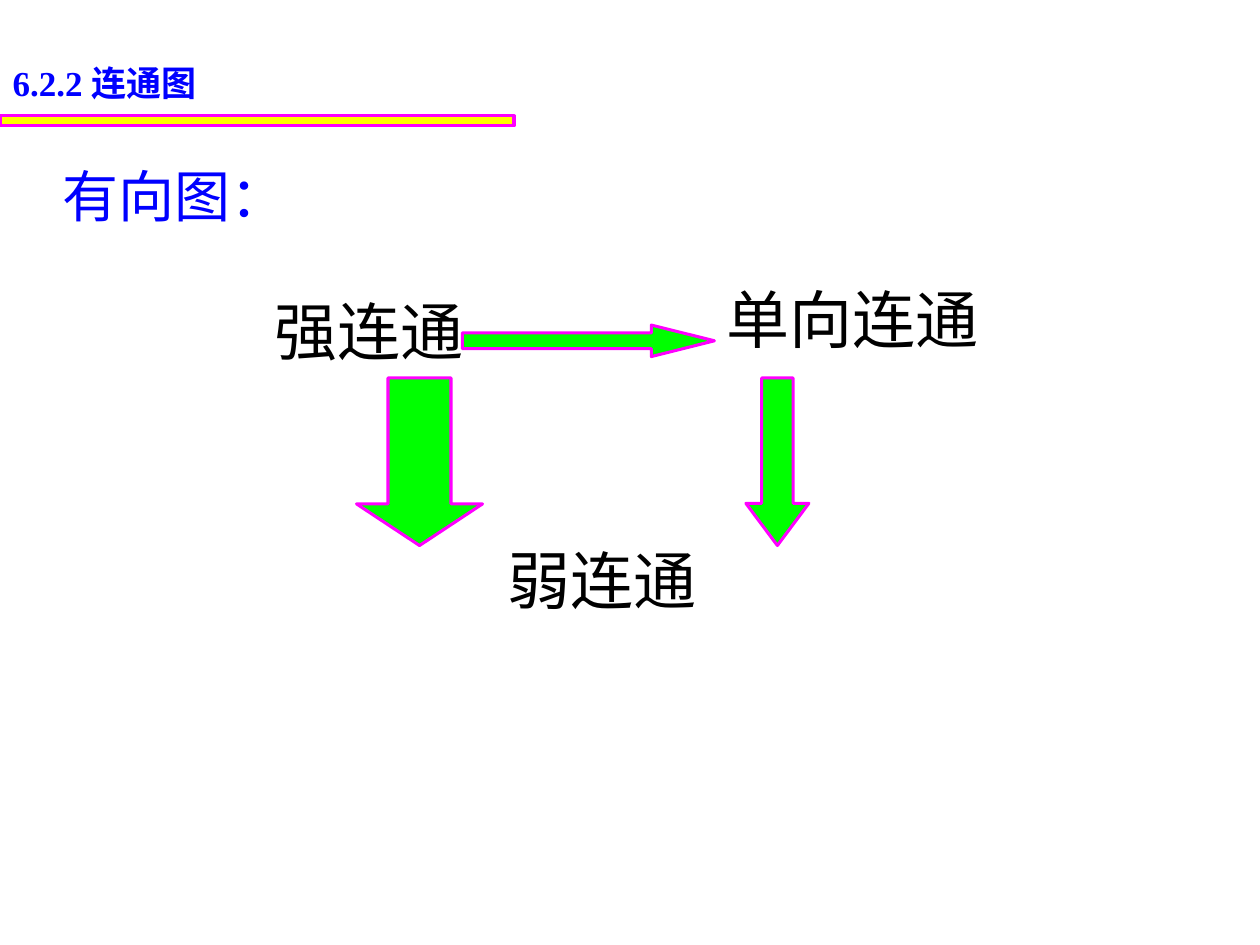
import pptx
import pptx.util
import pptx.dml.color
import pptx.enum.shapes
import pptx.enum.text

Inches = pptx.util.Inches
Kind = pptx.enum.shapes.MSO_SHAPE
BLUE, BLACK = "0000FF", "000000"
YELLOW, GREEN, PINK = "FFFF00", "00FF00", "FF00FF"

# Content: heading runs, labels and filled shapes
HEAD = [("6.2.2 ", "Times New Roman"), ("连通图", "Arial")]
LABELS = [  # text, box, size, colour
    ("强连通", (2.08, 2.27, 2.18, 0.7), 36, BLACK),
    ("有向图：", (0.4, 1.23, 1.95, 0.63), 32, BLUE),
    ("单向连通", (5.67, 2.18, 3, 0.7), 36, BLACK),
    ("弱连通", (3.93, 4.25, 3.57, 0.7), 36, BLACK),
]
RULE = (0, 0.92, 4.08, 0.08)
ARROWS = [  # kind, box, head length relative to the short side
    (Kind.RIGHT_ARROW, (3.67, 2.58, 2, 0.25), 2),
    (Kind.DOWN_ARROW, (2.83, 3, 1, 1.33), 0.33),
    (Kind.DOWN_ARROW, (5.92, 3, 0.5, 1.33), 0.67),
]


def color(code):
    return pptx.dml.color.RGBColor.from_string(code)


def write(shape, runs, size, ink, bold=False):
    frame = shape.text_frame
    frame.word_wrap = True
    frame.auto_size = pptx.enum.text.MSO_AUTO_SIZE.SHAPE_TO_FIT_TEXT
    frame.vertical_anchor = pptx.enum.text.MSO_ANCHOR.TOP
    para = frame.paragraphs[0]
    para.alignment = pptx.enum.text.PP_ALIGN.LEFT
    for text, face in runs:
        run = para.add_run()
        run.text = text
        font = run.font
        font.name, font.size, font.bold = face, pptx.util.Pt(size), bold
        font.color.rgb = color(ink)


def draw(slide, kind, box, fill):
    shape = slide.shapes.add_shape(kind, *map(Inches, box))
    shape.shadow.inherit = False
    shape.fill.solid()
    shape.fill.fore_color.rgb = color(fill)
    shape.line.color.rgb = color(PINK)
    shape.line.width = pptx.util.Pt(1.75)
    return shape


def main():
    deck = pptx.Presentation()
    deck.slide_width, deck.slide_height = Inches(10), Inches(7.5)
    slide = deck.slides.add_slide(deck.slide_layouts[5])

    # Heading and its rule
    title = slide.shapes.title
    title.left, title.top = Inches(0), Inches(0.44)
    title.width, title.height = Inches(3.52), Inches(0.43)
    write(title, HEAD, size=20, ink=BLUE, bold=True)
    draw(slide, Kind.RECTANGLE, RULE, YELLOW)

    # Labels
    for text, box, size, ink in LABELS:
        label = slide.shapes.add_textbox(*map(Inches, box))
        write(label, [(text, "Arial")], size=size, ink=ink)

    # Implication arrows
    for kind, box, head in ARROWS:
        arrow = draw(slide, kind, box, GREEN)
        arrow.adjustments[0] = 0.5
        arrow.adjustments[1] = head

    deck.save("out.pptx")


if __name__ == "__main__":
    main()
